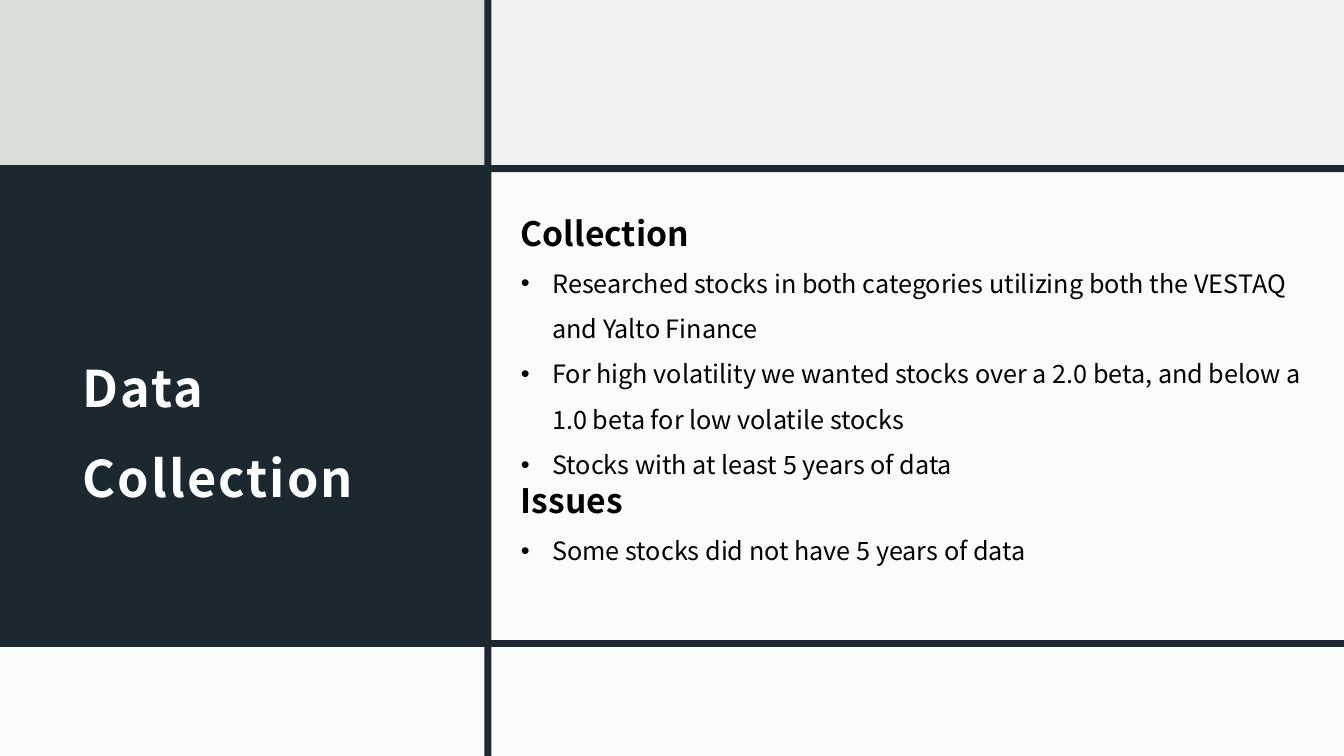
from pptx import Presentation
from pptx.dml.color import RGBColor
from pptx.enum.shapes import MSO_SHAPE
from pptx.enum.text import MSO_ANCHOR, MSO_AUTO_SIZE, PP_ALIGN
from pptx.oxml.ns import qn
from pptx.util import Pt
from lxml.etree import SubElement

DARK = RGBColor(0x1B, 0x28, 0x30)
SAGE = RGBColor(0xD8, 0xDE, 0xD5)
PALE = RGBColor(0xF1, 0xF3, 0xF0)
WHITE = RGBColor(0xFF, 0xFF, 0xFF)
BLACK = RGBColor(0, 0, 0)
FONT = "Noto Sans CJK JP"
WIDE, HIGH = 960, 540
BAR = 5
TOPICS = [
    ("Collection", [
        "Researched stocks in both categories utilizing both the VESTAQ and Yalto Finance",
        "For high volatility we wanted stocks over a 2.0 beta, and below a 1.0 beta for low volatile stocks",
        "Stocks with at least 5 years of data",
    ]),
    ("Issues", ["Some stocks did not have 5 years of data"]),
]


def add_rect(slide, box, color, alpha=None):
    rect = slide.shapes.add_shape(MSO_SHAPE.RECTANGLE, *map(Pt, box))
    rect.shadow.inherit = False
    rect.fill.solid()
    rect.fill.fore_color.rgb = color
    rect.line.fill.background()
    if alpha:
        tint = rect.element.spPr.find(qn("a:solidFill"))[0]
        SubElement(tint, qn("a:alpha")).set("val", str(alpha * 1000))


def add_run(para, text, size, color, bold):
    run = para.add_run()
    run.text = text
    font = run.font
    font.name, font.size, font.bold = FONT, Pt(size), bold
    font.color.rgb = color
    return run


def add_panels(slide, box):
    left, top, wide, high = box
    col, row, foot = left + 348.5, top + 119.5, top + 461.5
    right = wide - 348.5
    add_rect(slide, (left, top + 118, 348.5, 344), DARK)
    add_rect(slide, (left, top, 348.5, 119.5), SAGE)
    add_rect(slide, (col, row, right, foot - row), WHITE, 75)
    add_rect(slide, (left, foot, wide, top + high - foot), WHITE, 75)
    for y in (118, 457.2):
        add_rect(slide, (left, top + y, wide, BAR), DARK)
    add_rect(slide, (col - BAR / 2, top, BAR, high), DARK)


def add_title(slide, box):
    title = slide.shapes.title
    title.left, title.top, title.width, title.height = map(Pt, box)
    title.element.getparent().append(title.element)
    frame = title.text_frame
    frame.word_wrap = True
    frame.auto_size = MSO_AUTO_SIZE.NONE
    frame.vertical_anchor = MSO_ANCHOR.MIDDLE
    frame.margin_left = frame.margin_top = frame.margin_right = Pt(8.64)
    frame.margin_bottom = Pt(7.2)
    para = frame.paragraphs[0]
    para.alignment = PP_ALIGN.LEFT
    para.line_spacing = 1.5
    run = add_run(para, "Data Collection", 36, WHITE, True)
    run.font._element.set("spc", "150")


def add_bullet(para):
    para.line_spacing = 1.5
    props = para._p.get_or_add_pPr()
    props.set("marL", str(Pt(22.5)))
    props.set("indent", str(-Pt(22.5)))
    SubElement(props, qn("a:buFont")).set("typeface", "Arial")
    SubElement(props, qn("a:buChar")).set("char", "•")


def add_body(slide, box):
    frame = slide.shapes.add_textbox(*map(Pt, box)).text_frame
    frame.word_wrap = True
    frame.auto_size = MSO_AUTO_SIZE.SHAPE_TO_FIT_TEXT
    para = frame.paragraphs[0]
    for head, points in TOPICS:
        add_run(para, head, 24, BLACK, True)
        for point in points:
            para = frame.add_paragraph()
            add_bullet(para)
            add_run(para, point, 18, BLACK, False)
        if head != TOPICS[-1][0]:
            para = frame.add_paragraph()


def main():
    deck = Presentation()
    deck.slide_width, deck.slide_height = Pt(WIDE), Pt(HIGH)
    slide = deck.slides.add_slide(deck.slide_layouts[5])
    back = slide.background.fill
    back.solid()
    back.fore_color.rgb = PALE
    add_panels(slide, (0, 0, WIDE, HIGH))
    add_title(slide, (50.4, 154, 268.5, 286.5))
    add_body(slide, (365, 148.3, 585.4, 399.6))
    deck.save("out.pptx")


if __name__ == "__main__":
    main()
